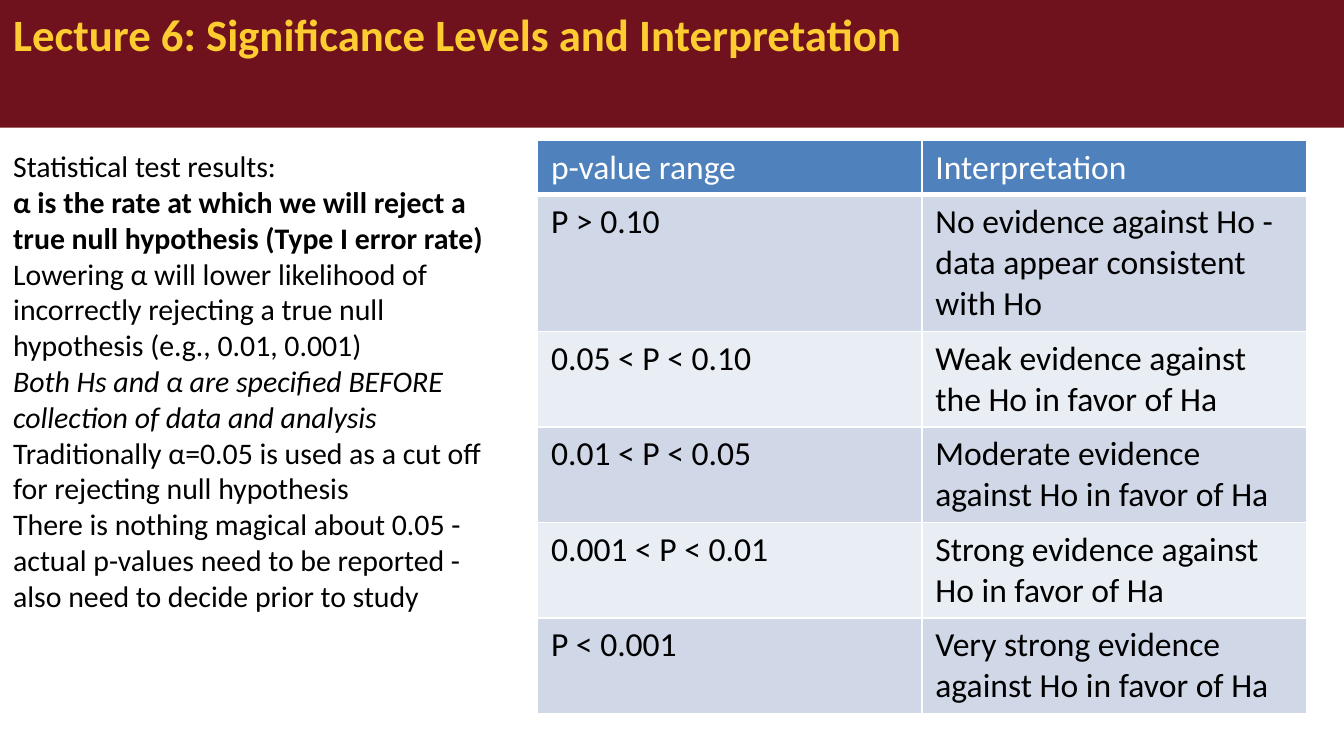
from lxml import etree
from pptx import Presentation
from pptx.dml.color import RGBColor
from pptx.enum import shapes, text
from pptx.oxml.ns import qn
from pptx.util import Pt

TITLE = "Lecture 6: Significance Levels and Interpretation"
NOTES = [
    ("Statistical test results:", {}),
    ("α is the rate at which we will reject a true null hypothesis (Type I error rate)",
     {"bold": True}),
    ("Lowering α will lower likelihood of incorrectly rejecting a true null hypothesis "
     "(e.g., 0.01, 0.001)", {}),
    ("Both Hs and α are specified BEFORE collection of data and analysis",
     {"italic": True}),
    ("Traditionally α=0.05 is used as a cut off for rejecting null hypothesis", {}),
    ("There is nothing magical about 0.05 - actual p-values need to be reported - "
     "also need to decide prior to study", {}),
]
# Each row: p-value range, interpretation, number of text lines
ROWS = [
    ("p-value range", "Interpretation", 1),
    ("P > 0.10", "No evidence against Ho - data appear consistent with Ho", 3),
    ("0.05 < P < 0.10", "Weak evidence against the Ho in favor of Ha", 2),
    ("0.01 < P < 0.05", "Moderate evidence against Ho in favor of Ha", 2),
    ("0.001 < P < 0.01", "Strong evidence against Ho in favor of Ha", 2),
    ("P < 0.001", "Very strong evidence against Ho in favor of Ha", 2),
]
HEAD, BANDS = "4F81BD", ("E9EDF4", "D0D8E8")
COL, LINE, PAD = 205.92, 22, 7.2


def color(code):
    return RGBColor.from_string(code)


def paint(shape, code):
    shape.fill.solid()
    shape.fill.fore_color.rgb = color(code)


def write(para, words, size, code, **style):
    run = para.add_run()
    run.text = words
    run.font.color.rgb = color(code)
    for key, val in {"name": "Calibri", "size": Pt(size), "bold": False, **style}.items():
        setattr(run.font, key, val)


def edge(cell, head):
    """Draw white borders, with a heavier rule under the header."""
    props = cell._tc.get_or_add_tcPr()
    for spot, side in enumerate("LRTB"):
        width = 3 if head and side == "B" else 1
        line = etree.Element(qn(f"a:ln{side}"), w=str(Pt(width)))
        fill = etree.SubElement(line, qn("a:solidFill"))
        etree.SubElement(fill, qn("a:srgbClr"), val="FFFFFF")
        props.insert(spot, line)


deck = Presentation()
deck.slide_width, deck.slide_height = Pt(720), Pt(405)
slide = deck.slides.add_slide(deck.slide_layouts[6])

banner = slide.shapes.add_shape(
    shapes.MSO_SHAPE.RECTANGLE, 0, 0, Pt(720), Pt(68.4))
banner.shadow.inherit = False
paint(banner, "70121D")
banner.line.fill.background()
frame = banner.text_frame
frame.vertical_anchor = text.MSO_ANCHOR.TOP
frame.paragraphs[0].alignment = text.PP_ALIGN.LEFT
write(frame.paragraphs[0], TITLE, 24, "FDCC31", bold=True)

frame = slide.shapes.add_textbox(0, Pt(75.6), Pt(278.64), Pt(277.2)).text_frame
frame.word_wrap = True
for i, (words, style) in enumerate(NOTES):
    para = frame.add_paragraph() if i else frame.paragraphs[0]
    para.line_spacing = Pt(19.2)
    write(para, words, 16, "000000", **style)

heights = [lines * LINE + PAD for *_, lines in ROWS]
table = slide.shapes.add_table(
    len(ROWS), 2, Pt(288), Pt(75.2), Pt(2 * COL), Pt(sum(heights))).table
for col in table.columns:
    col.width = Pt(COL)
for r, (*words, _) in enumerate(ROWS):
    table.rows[r].height = Pt(heights[r])
    for c, word in enumerate(words):
        cell = table.cell(r, c)
        paint(cell, BANDS[r % 2] if r else HEAD)
        edge(cell, r == 0)
        write(cell.text_frame.paragraphs[0], word, 18, "000000" if r else "FFFFFF")

deck.save("out.pptx")
